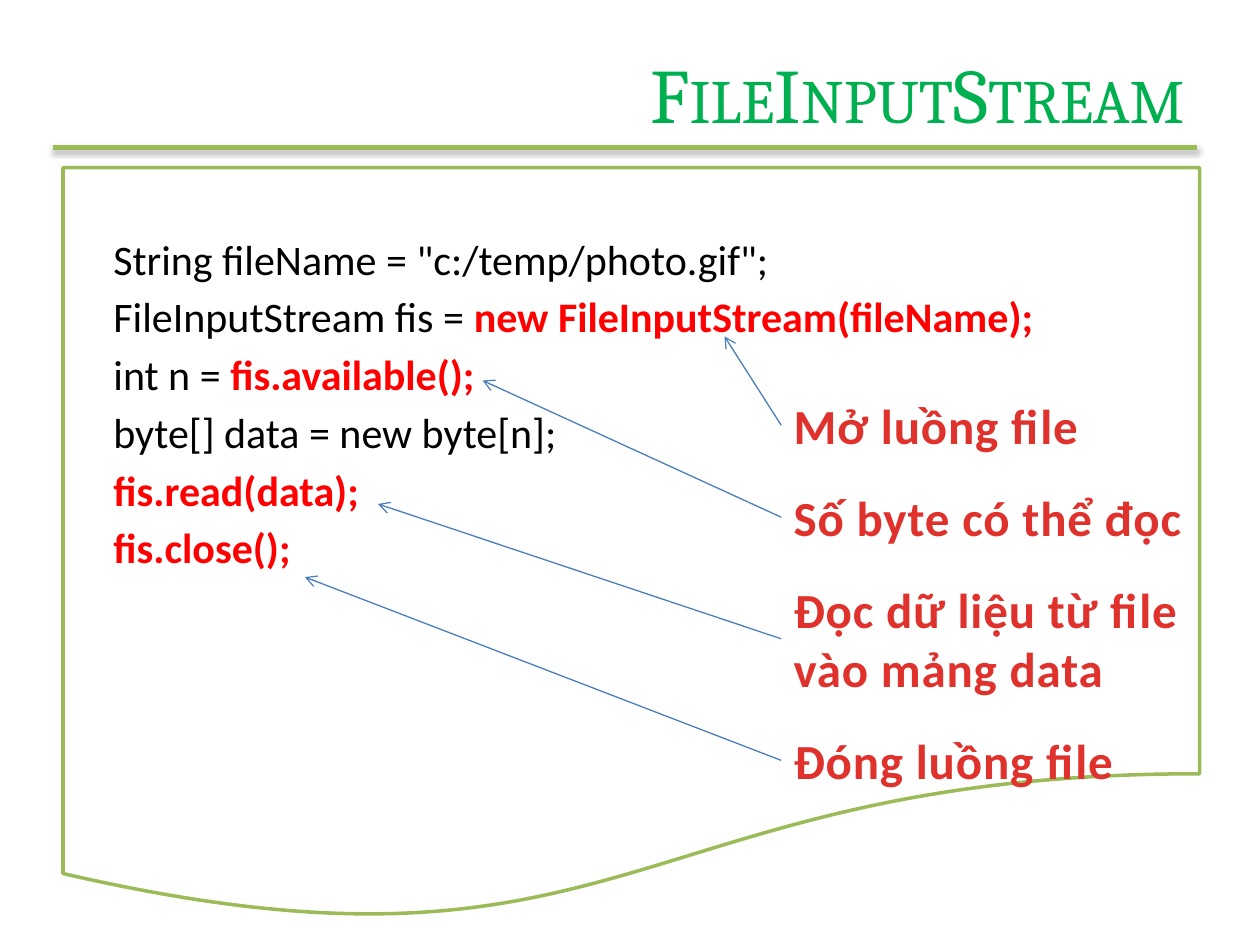
from lxml.etree import SubElement
from pptx import Presentation
from pptx.dml.color import RGBColor
from pptx.enum.shapes import MSO_CONNECTOR, MSO_SHAPE
from pptx.enum.text import MSO_ANCHOR, MSO_AUTO_SIZE, PP_ALIGN
from pptx.oxml.ns import qn
from pptx.util import Inches, Pt

WHITE = RGBColor(0xFF, 0xFF, 0xFF)
BLACK = RGBColor(0x00, 0x00, 0x00)
RED = RGBColor(0xFF, 0x00, 0x00)
TITLE_GREEN = RGBColor(0x00, 0xB0, 0x50)
FRAME_GREEN = RGBColor(0x9B, 0xBB, 0x59)
ARROW_BLUE = RGBColor(0x4B, 0x7E, 0xBC)
NOTE_LIGHT = RGBColor(0xE0, 0x32, 0x2D)
NOTE_DARK = RGBColor(0xA2, 0x20, 0x1C)

NOTE_LEFT, NOTE_TOP, NOTE_GAP = 6.2, 3.09, 0.16
NOTE_PADDING, NOTE_LINE = 0.1, 0.47

CODE = [
    ('String fileName = "c:/temp/photo.gif";', ""),
    ("FileInputStream fis = ", "new FileInputStream(fileName);"),
    ("int n = ", "fis.available();"),
    ("byte[] data = new byte[n];", ""),
    ("", "fis.read(data);"),
    ("", "fis.close();"),
]
NOTES = [
    (["Mở luồng file"], 2.49, (5.75, 2.67)),
    (["Số byte có thể đọc"], 3.32, (3.83, 3.02)),
    (["Đọc dữ liệu từ file", "vào mảng data"], 3.39, (3, 4)),
    (["Đóng luồng file"], 2.77, (2.42, 4.58)),
]


def place(shape, left, top, width, height):
    """Move and size a shape, in inches."""
    shape.left, shape.top = Inches(left), Inches(top)
    shape.width, shape.height = Inches(width), Inches(height)


def add_line(slide, start, end, color, weight):
    """Draw a straight line and return it with its empty effect list."""
    line = slide.shapes.add_connector(
        MSO_CONNECTOR.STRAIGHT, *map(Inches, start + end))
    line.line.color.rgb = color
    line.line.width = Pt(weight)
    effects = SubElement(line._element.spPr, qn("a:effectLst"))
    return line, effects


def add_title_rule(slide):
    """Draw the shadowed rule under the title."""
    _, effects = add_line(slide, (0.42, 1.17), (9.5, 1.17), FRAME_GREEN, 3)
    shadow = SubElement(effects, qn("a:outerShdw"), blurRad=str(Pt(3.1)),
                        dist=str(Pt(1.8)), dir="5400000", rotWithShape="0")
    shade = SubElement(shadow, qn("a:srgbClr"), val=str(BLACK))
    SubElement(shade, qn("a:alpha"), val="35000")


def add_frame(slide):
    """Draw the document outline around the code."""
    frame = slide.shapes.add_shape(
        MSO_SHAPE.FLOWCHART_DOCUMENT,
        Inches(0.5), Inches(1.33), Inches(9.02), Inches(6))
    frame.shadow.inherit = False
    frame.fill.solid()
    frame.fill.fore_color.rgb = WHITE
    frame.line.color.rgb = FRAME_GREEN
    frame.line.width = Pt(2)


def fill_title(title):
    """Write the small-caps title at the right."""
    place(title, 1.45, 0.3, 8.05, 0.87)
    title.text_frame.text = "FileInputStream"
    title.text_frame.vertical_anchor = MSO_ANCHOR.MIDDLE
    heading = title.text_frame.paragraphs[0]
    heading.alignment = PP_ALIGN.RIGHT
    font = heading.runs[0].font
    font.name, font.size = "Cambria", Pt(44)
    font.color.rgb = TITLE_GREEN
    font._element.set("cap", "small")


def fill_code(body):
    """Write the code lines, with the stream calls in bold red."""
    place(body, 0.5, 1.8, 9, 4.9)
    frame = body.text_frame
    frame.margin_left = Inches(0.4)
    frame.text = "\n".join([""] * len(CODE))
    for index, (paragraph, parts) in enumerate(zip(frame.paragraphs, CODE)):
        properties = paragraph._p.get_or_add_pPr()
        properties.set("marL", "0")
        properties.set("indent", "0")
        SubElement(properties, qn("a:buNone"))
        paragraph.space_before = Pt(4.2 if index else 0)
        for text, color in zip(parts, (BLACK, RED)):
            if text:
                run = paragraph.add_run()
                run.text = text
                run.font.name, run.font.size = "Calibri", Pt(24)
                run.font.bold = color == RED
                run.font.color.rgb = color


def format_note(font):
    """Give a note its bold, spaced, red gradient lettering."""
    font.name, font.size, font.bold = "Calibri", Pt(28), True
    font._element.set("spc", "50")
    font.fill.gradient()
    font.fill.gradient_angle = 270
    shades = ((NOTE_LIGHT, 0.25), (NOTE_DARK, 1))
    for stop, (color, position) in zip(font.fill.gradient_stops, shades):
        stop.color.rgb = color
        stop.position = position


def add_note(slide, lines, top, width, height, target):
    """Add a note and an arrow from it to the code it explains."""
    note = slide.shapes.add_textbox(
        Inches(NOTE_LEFT), Inches(top), Inches(width), Inches(height))
    frame = note.text_frame
    frame.text = "\n".join(lines)
    frame.word_wrap = False
    frame.auto_size = MSO_AUTO_SIZE.SHAPE_TO_FIT_TEXT
    for paragraph in frame.paragraphs:
        format_note(paragraph.runs[0].font)
    arrow, _ = add_line(
        slide, (NOTE_LEFT, top + height / 2), target, ARROW_BLUE, 0.75)
    arrow.begin_connect(note, 1)
    SubElement(arrow.line._get_or_add_ln(), qn("a:tailEnd"), type="arrow")


def main():
    """Build and save the slide."""
    deck = Presentation()
    deck.slide_width, deck.slide_height = Inches(10), Inches(7.5)
    slide = deck.slides.add_slide(deck.slide_layouts[1])
    title, body = slide.placeholders
    add_title_rule(slide)
    add_frame(slide)
    for placeholder in (title, body):
        slide.shapes._spTree.append(placeholder._element)
    fill_title(title)
    fill_code(body)
    top = NOTE_TOP
    for lines, width, target in NOTES:
        height = NOTE_PADDING + NOTE_LINE * len(lines)
        add_note(slide, lines, top, width, height, target)
        top += height + NOTE_GAP
    deck.save("out.pptx")


if __name__ == "__main__":
    main()
